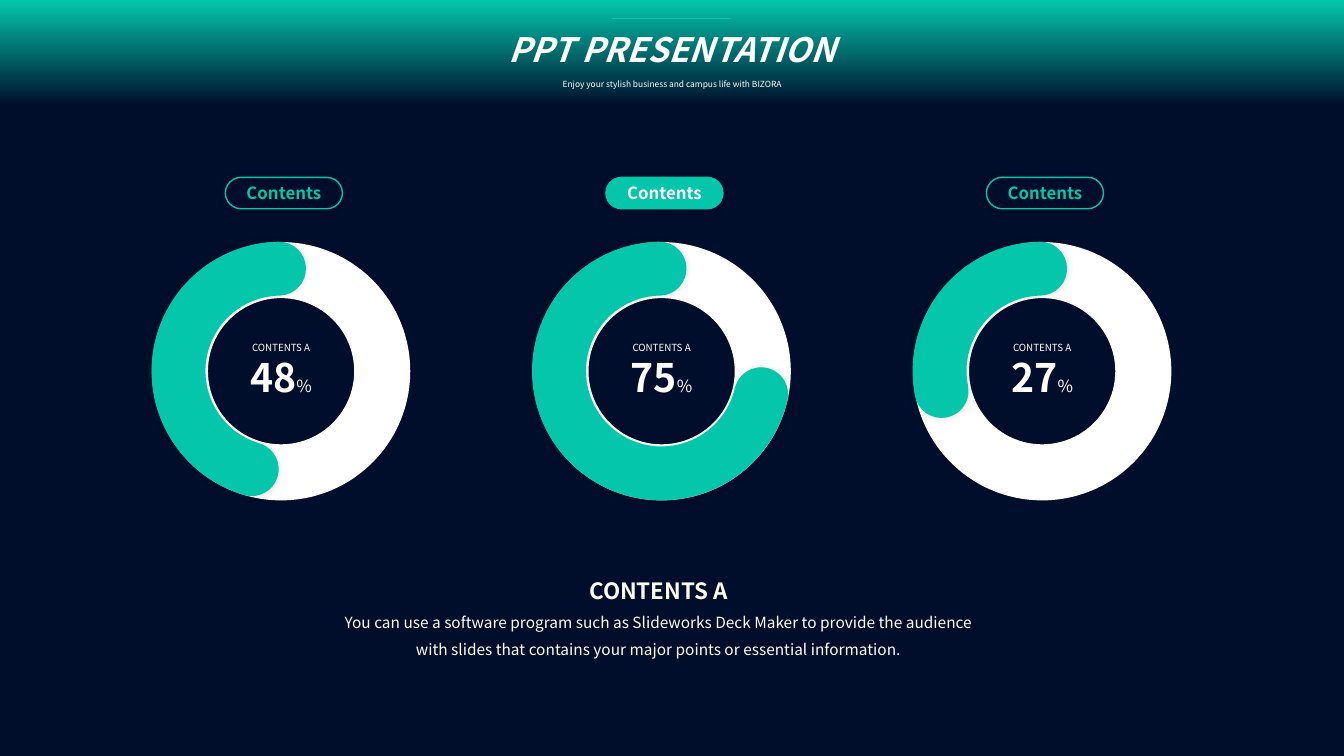
from lxml import etree
from pptx import Presentation
from pptx import util as u
from pptx.dml.color import RGBColor
from pptx.enum import shapes, text
from pptx.oxml.ns import qn

COLORS = {"navy": "000E2B", "teal": "03C6AB", "white": "FFFFFF", "black": "000000"}
RGB = {name: RGBColor.from_string(value) for name, value in COLORS.items()}
FONT = "Noto Sans CJK KR"
SHAPE = shapes.MSO_SHAPE


def write(tf, paragraphs, wrap=True, anchor=text.MSO_ANCHOR.MIDDLE):
    """Fill a frame with (line spacing, [(words, font format), ...]) paragraphs."""
    tf.word_wrap = wrap
    tf.vertical_anchor = anchor
    for i, (spacing, runs) in enumerate(paragraphs):
        p = tf.paragraphs[0] if i == 0 else tf.add_paragraph()
        p.alignment = text.PP_ALIGN.CENTER
        p.line_spacing = spacing
        for words, fmt in runs:
            r = p.add_run()
            r.text = words
            color = fmt.get("color", "white")
            r.font.color.rgb = RGB[color]
            values = {"name": FONT, "bold": False, "italic": False, **fmt}
            values.pop("color", None)
            for key, value in values.items():
                setattr(r.font, key, value)


def soft_shadow(sp):
    """Give a shape a faint, centred black glow."""
    sp.shadow.inherit = False
    effects = sp._element.spPr.find(qn("a:effectLst"))
    shadow = etree.SubElement(effects, qn("a:outerShdw"), blurRad=str(u.Pt(5)),
                              dist="0", dir="0", algn="ctr", rotWithShape="0")
    color = etree.SubElement(shadow, qn("a:srgbClr"), val=COLORS["black"])
    etree.SubElement(color, qn("a:alpha"), val="12000")


prs = Presentation()
prs.slide_width, prs.slide_height = u.Cm(33.87), u.Cm(19.05)
s = prs.slides.add_slide(prs.slide_layouts[5])
s.background.fill.solid()
s.background.fill.fore_color.rgb = RGB["navy"]

# Header band with title and tagline
title = s.shapes.title
title.left, title.top, title.width, title.height = 0, 0, prs.slide_width, u.Cm(2.97)
title.fill.gradient()
title.fill.gradient_angle = 90
for stop, position, color in zip(title.fill.gradient_stops, (0.1, 1), ("navy", "teal")):
    stop.position = position
    stop.color.rgb = RGB[color]
title.text_frame.auto_size = text.MSO_AUTO_SIZE.NONE
write(title.text_frame, [
    (1.0, [("PPT PRESENTATION", {"size": u.Pt(24), "bold": True, "italic": True})]),
    (2.0, [("Enjoy your stylish business and campus life with BIZORA", {"size": u.Pt(6)})]),
])

# Accent line above the title
line = s.shapes.add_connector(shapes.MSO_CONNECTOR.STRAIGHT,
                              u.Cm(15.42), u.Cm(0.46), u.Cm(18.42), u.Cm(0.46))
line.line.color.rgb = RGB["teal"]
line.line.width = u.Pt(1)
etree.SubElement(line._element.spPr, qn("a:effectLst"))

# Progress rings: percentage, start angle of the arc, filled label or not
rings = [("48", 106.53, False), ("75", 13.1, True), ("27", 168.74, False)]
ARC_END = 268.96
for i, (percent, arc_start, filled) in enumerate(rings):
    x = 3.83 + 9.59 * i

    # White ring with its value
    ring = s.shapes.add_shape(SHAPE.DONUT, u.Cm(x), u.Cm(6.1), u.Cm(6.51), u.Cm(6.51))
    ring.adjustments[0] = 0.217
    ring.shadow.inherit = False
    ring.fill.solid()
    ring.fill.fore_color.rgb = RGB["white"]
    ring.line.fill.background()
    write(ring.text_frame, [
        (1.0, [("CONTENTS A", {"size": u.Pt(7)})]),
        (1.0, [(percent, {"size": u.Pt(28), "bold": True}), ("%", {"size": u.Pt(12)})]),
    ], wrap=False)

    # Thick round-ended arc
    arc = s.shapes.add_shape(SHAPE.ARC, u.Cm(x + 0.67), u.Cm(6.77), u.Cm(5.16), u.Cm(5.16))
    for k, degrees in enumerate((arc_start, ARC_END)):
        arc.adjustments[k] = degrees * 0.6
    arc.fill.background()
    arc.line.color.rgb = RGB["teal"]
    arc.line.width = u.Pt(38.5)
    arc.line._get_or_add_ln().set("cap", "rnd")
    soft_shadow(arc)

    # Pill label
    pill = s.shapes.add_shape(SHAPE.ROUNDED_RECTANGLE,
                              u.Cm(x + 1.85), u.Cm(4.47), u.Cm(2.95), u.Cm(0.79))
    pill.adjustments[0] = 0.5
    if filled:
        pill.fill.solid()
        pill.fill.fore_color.rgb = RGB["teal"]
    else:
        pill.fill.background()
    pill.line.color.rgb = RGB["teal"]
    pill.line.width = u.Pt(1)
    soft_shadow(pill)
    label = {"size": u.Pt(12), "bold": True, "color": "white" if filled else "teal"}
    write(pill.text_frame, [(1.0, [("Contents", label)])], wrap=False)

# Summary text
summary = s.shapes.add_textbox(u.Cm(8.13), u.Cm(14.07), u.Cm(16.94), u.Cm(2.69))
write(summary.text_frame, [
    (1.5, [("CONTENTS A", {"size": u.Pt(16), "bold": True})]),
    (1.5, [("You can use a software program such as Slideworks Deck Maker to provide the "
            "audience with slides that contains your major points or essential information.",
            {"size": u.Pt(11)})]),
], anchor=text.MSO_ANCHOR.TOP)

prs.save("out.pptx")
